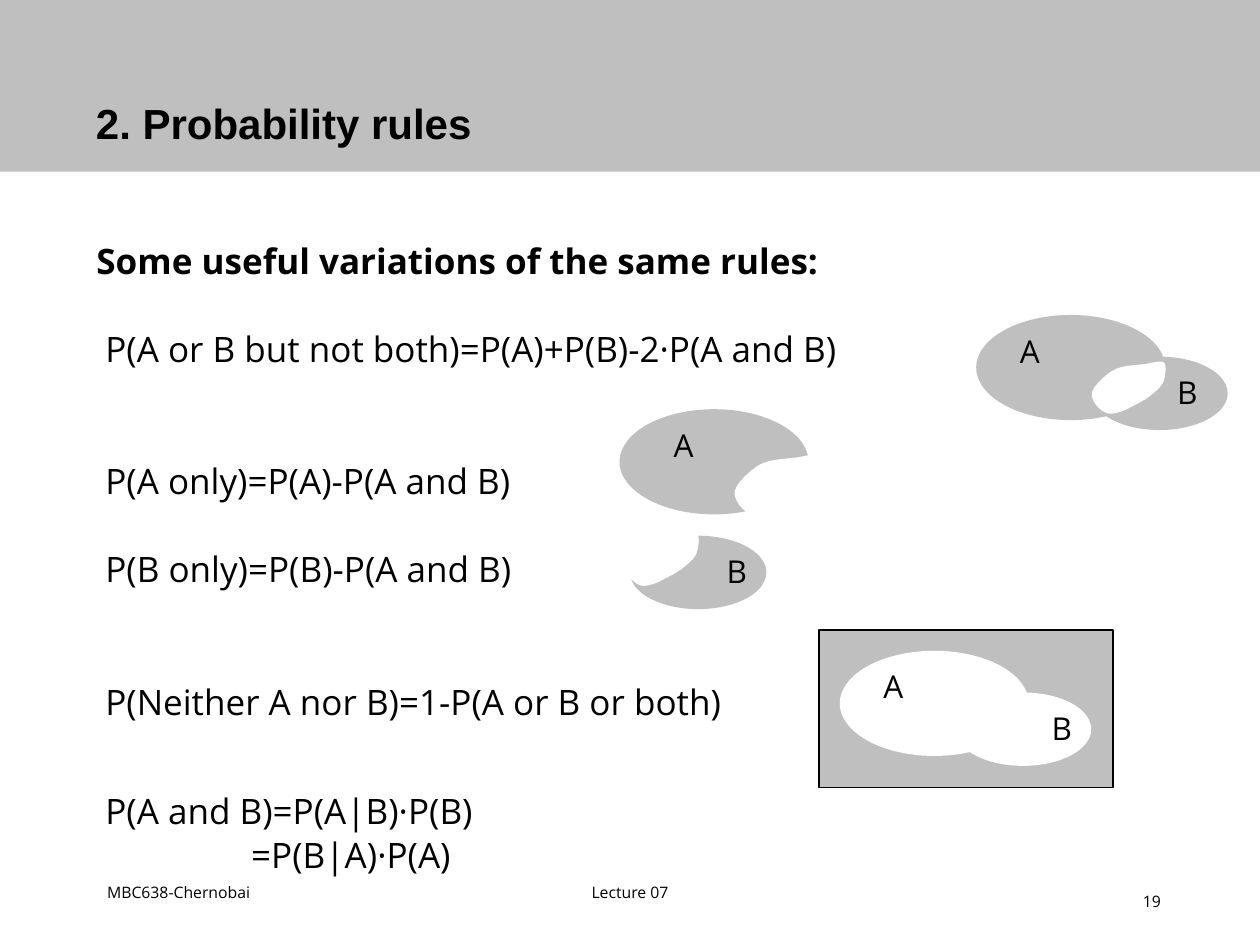
from pptx import Presentation
from pptx.dml.color import RGBColor
from pptx.enum.shapes import MSO_SHAPE
from pptx.enum.text import MSO_ANCHOR, MSO_AUTO_SIZE, PP_ALIGN
from pptx.oxml.ns import qn
from pptx.oxml.xmlchemy import OxmlElement
from pptx.util import Cm, Pt

BLACK = RGBColor(0, 0, 0)
WHITE = RGBColor(255, 255, 255)
GREY = RGBColor(0xBF, 0xBF, 0xBF)
BODY_FONT, TITLE_FONT = "Open Sans", "Arial"
LINE = 25.2  # body line pitch in points

A_SIZE, B_SIZE = (3.81, 2.12), (2.75, 1.48)
B_OFFSET = (2.32, 0.84)  # circle B relative to circle A
LENS_UNITS = (57, 40)
LENS_START = (12, 40)
# two control points and an end point for each curve
LENS_CURVES = [
    ((6, 38), (-1, 30), (0, 24)), ((1, 19), (10, 10), (17, 6)),
    ((24, 2), (36, 2), (43, 1)), ((49, 0), (55, -2), (57, 0)),
    ((59, 3), (58, 11), (56, 16)), ((54, 20), (49, 24), (45, 27)),
    ((41, 30), (37, 32), (33, 34)), ((28, 37), (17, 42), (12, 40)),
]
# text, indent in cm, space before in points, bold
RULES = [
    ("Some useful variations of the same rules:", 0, 0, True),
    ("P(A or B but not both)=P(A)+P(B)-2·P(A and B)", 0.18, LINE, False),
    ("P(A only)=P(A)-P(A and B)", 0.18, 2 * LINE, False),
    ("P(B only)=P(B)-P(A and B)", 0.18, LINE, False),
    ("P(Neither A nor B)=1-P(A or B or both)", 0.18, 2 * LINE, False),
    ("P(A and B)=P(A|B)·P(B)", 0.18, LINE + 12, False),
    ("=P(B|A)·P(A)", 3.12, 0, False),
]


def place(shape, left, top, width, height):
    """Move and size a shape, in centimetres."""
    shape.left, shape.top = Cm(left), Cm(top)
    shape.width, shape.height = Cm(width), Cm(height)


def write(paragraph, text, size, font=BODY_FONT, bold=False):
    """Put one formatted run in a paragraph."""
    run = paragraph.add_run()
    run.text = text
    run.font.size, run.font.name, run.font.bold = Pt(size), font, bold
    run.font.color.rgb = BLACK


def paint(shape, fill, line=None, width=0.75):
    """Give a shape a flat fill and an optional outline."""
    shape.shadow.inherit = False
    shape.fill.solid()
    shape.fill.fore_color.rgb = fill
    if line is None:
        shape.line.fill.background()
    else:
        shape.line.color.rgb = line
        shape.line.width = Pt(width)


def add_preset(slide, kind, left, top, width, height, fill, line=None):
    """Add a painted preset shape."""
    shape = slide.shapes.add_shape(kind, Cm(left), Cm(top), Cm(width), Cm(height))
    paint(shape, fill, line)


def add_text(slide, text, left, top, width, height, size,
             align=PP_ALIGN.LEFT, anchor=MSO_ANCHOR.TOP):
    """Add a one-line text box."""
    box = slide.shapes.add_textbox(Cm(left), Cm(top), Cm(width), Cm(height))
    frame = box.text_frame
    frame.word_wrap, frame.vertical_anchor = True, anchor
    frame.paragraphs[0].alignment = align
    write(frame.paragraphs[0], text, size)


def add_event(slide, name, left, top, size, fill, label_dx):
    """Add the oval of an event with its letter."""
    add_preset(slide, MSO_SHAPE.OVAL, left, top, *size, fill)
    add_text(slide, name, left + label_dx, top + 0.21, 1.07, 1.02, 18)


def add_lens(slide, left, top, width, height, line=None):
    """Add the white overlap of two events as a curved outline."""
    scale = (Cm(width) / LENS_UNITS[0], Cm(height) / LENS_UNITS[1])
    builder = slide.shapes.build_freeform(*LENS_START, scale=scale)
    builder.add_line_segments([curve[-1] for curve in LENS_CURVES], close=True)
    lens = builder.convert_to_shape(Cm(left), Cm(top))
    segments = list(lens.element.iter(qn("a:lnTo")))
    for segment, curve in zip(segments, LENS_CURVES):
        bezier = OxmlElement("a:cubicBezTo")
        for x, y in curve:
            point = OxmlElement("a:pt")
            point.set("x", str(x))
            point.set("y", str(y))
            bezier.append(point)
        segment.getparent().replace(segment, bezier)
    paint(lens, WHITE, line, 1)


def add_union(slide, left, top, fill, b_label_dx):
    """Add overlapping events A and B."""
    add_event(slide, "A", left, top, A_SIZE, fill, 0.63)
    add_event(slide, "B", left + B_OFFSET[0], top + B_OFFSET[1], B_SIZE, fill, b_label_dx)


def add_either(slide, left, top):
    """A or B but not both."""
    add_union(slide, left, top, GREY, 1.48)
    add_lens(slide, left + 2.33, top + 0.96, 1.46, 1.02)


def add_a_only(slide, left, top):
    """A without its overlap."""
    add_event(slide, "A", left, top, A_SIZE, GREY, 0.84)
    add_lens(slide, left + 2.34, top + 0.96, 1.65, 1.16, WHITE)


def add_b_only(slide, left, top):
    """B without its overlap."""
    add_event(slide, "B", left, top, B_SIZE, GREY, 1.7)
    add_lens(slide, left - 0.1, top - 0.04, 1.46, 1.04)


def add_neither(slide, left, top):
    """Everything outside A and B."""
    add_preset(slide, MSO_SHAPE.RECTANGLE, left, top, 5.93, 3.18, GREY, BLACK)
    add_union(slide, left + 0.42, top + 0.42, WHITE, 1.7)


def add_header(slide, width, height):
    """Grey banner with the title on top of it."""
    add_preset(slide, MSO_SHAPE.RECTANGLE, 0, 0, width, height, GREY)
    title = slide.shapes.title
    title.element.getparent().append(title.element)
    place(title, 1.68, 0.69, 21.9, 3.68)
    frame = title.text_frame
    frame.auto_size, frame.vertical_anchor = MSO_AUTO_SIZE.NONE, MSO_ANCHOR.MIDDLE
    frame.paragraphs[0].alignment = PP_ALIGN.LEFT
    frame.paragraphs[0].line_spacing = 0.9
    write(frame.paragraphs[0], "2. Probability rules", 24, TITLE_FONT, True)


def add_rules(slide, left, top, width, height):
    """List the rules in the body placeholder."""
    body = slide.placeholders[1]
    place(body, left, top, width, height)
    frame = body.text_frame
    frame.auto_size, frame.vertical_anchor = MSO_AUTO_SIZE.NONE, MSO_ANCHOR.TOP
    for i, (text, indent, before, bold) in enumerate(RULES):
        paragraph = frame.add_paragraph() if i else frame.paragraphs[0]
        paragraph.line_spacing, paragraph.space_before = Pt(LINE), Pt(before)
        properties = paragraph._p.get_or_add_pPr()
        properties.set("marL", str(Cm(indent)))
        properties.set("indent", "0")
        properties.append(OxmlElement("a:buNone"))
        write(paragraph, text, 20, bold=bold)


def add_footer(slide, left, top):
    """Course, lecture and page number."""
    middle = MSO_ANCHOR.MIDDLE
    add_text(slide, "MBC638-Chernobai", left, top, 5.28, 1.27, 9, anchor=middle)
    add_text(slide, "Lecture 07", left + 6.77, top, 8.04, 1.27, 9,
             PP_ALIGN.CENTER, middle)
    add_text(slide, "19", left + 16.02, top + 0.3, 5.72, 1.02, 9,
             PP_ALIGN.RIGHT, middle)


def main():
    """Build the slide."""
    deck = Presentation()
    deck.slide_width, deck.slide_height = Cm(25.4), Cm(19.05)
    slide = deck.slides.add_slide(deck.slide_layouts[1])
    add_rules(slide, 1.69, 4.65, 21.59, 13.26)
    add_footer(slide, 1.91, 17.35)
    add_either(slide, 19.68, 6.35)
    add_a_only(slide, 12.49, 8.25)
    add_b_only(slide, 12.7, 10.8)
    add_neither(slide, 16.51, 12.7)
    add_header(slide, 25.4, 3.46)
    deck.save("out.pptx")


main()
